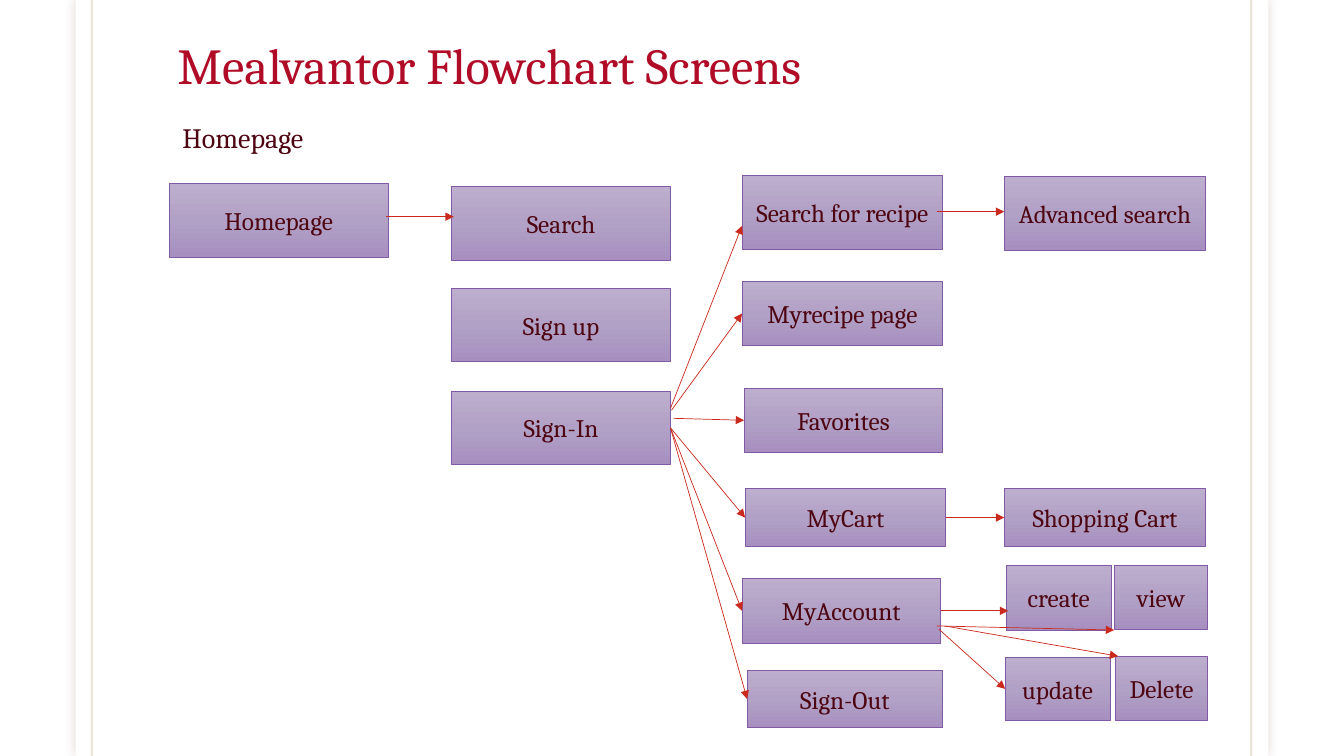
from copy import deepcopy

from lxml import etree
from pptx import Presentation
from pptx.dml.color import RGBColor
from pptx.enum.shapes import MSO_CONNECTOR, MSO_SHAPE
from pptx.enum.text import MSO_ANCHOR, MSO_AUTO_SIZE, PP_ALIGN
from pptx.oxml.ns import qn
from pptx.util import Inches, Pt

STRAIGHT = MSO_CONNECTOR.STRAIGHT
RECTANGLE = MSO_SHAPE.RECTANGLE
CENTER, LEFT = PP_ALIGN.CENTER, PP_ALIGN.LEFT
MIDDLE, TOP, BOTTOM = MSO_ANCHOR.MIDDLE, MSO_ANCHOR.TOP, MSO_ANCHOR.BOTTOM
LEFT_SIDE, RIGHT_SIDE = 1, 3

WIDTH, HEIGHT = 13.33, 7.5
FONT = "Cambria"
COLORS = {
    "page": "FFFFFF", "page_shadow": "65150F", "margin_rule": "79540B",
    "title": "B10C27", "text": "4D0511", "border": "8159A4", "arrow": "CA2A1E",
}
BOX_GRADIENT = [(0, "BDAECE"), (0.5, "B2A1C6"), (1, "A790C0")]

TITLE = "Mealvantor Flowchart Screens"
HEADING = "Homepage"

SCREENS = {
    1.68: [("Homepage", 0, 1.82, 2.17, 0.73)],
    4.48: [
        ("Search", 0, 1.85, 2.17, 0.73),
        ("Sign up", 0, 2.86, 2.17, 0.73),
        ("Sign-In", 0, 3.88, 2.17, 0.73),
    ],
    7.36: [
        ("Search for recipe", 0, 1.74, 1.99, 0.73),
        ("Myrecipe page", 0, 2.79, 1.99, 0.64),
        ("Favorites", 0.02, 3.85, 1.97, 0.64),
        ("MyCart", 0.03, 4.85, 1.99, 0.57),
        ("MyAccount", 0, 5.74, 1.97, 0.64),
        ("Sign-Out", 0.05, 6.65, 1.94, 0.57),
    ],
    9.96: [
        ("Advanced search", 0, 1.75, 2, 0.73),
        ("Shopping Cart", 0, 4.85, 2, 0.57),
        ("create", 0.02, 5.61, 1.04, 0.64),
        ("update", 0.01, 6.52, 1.04, 0.63),
    ],
    11.05: [
        ("view", 0, 5.61, 0.93, 0.63),
        ("Delete", 0.01, 6.51, 0.92, 0.64),
    ],
}

ARROWS = [
    ((3.83, 2.15), (4.5, 2.15)),
    ((9.29, 2.1), (9.96, 2.1)),
    ((6.65, 4.05), (7.36, 2.24)),
    ((6.66, 4.07), "Myrecipe page"),
    ((6.68, 4.15), "Favorites"),
    ("Sign-In", "MyCart"),
    ("Sign-In", "MyAccount"),
    ("Sign-In", "Sign-Out"),
    ("MyCart", "Shopping Cart"),
    ("MyAccount", (10, 6.06)),
    ((9.29, 6.21), (11.05, 6.25)),
    ((9.31, 6.24), "update"),
    ((9.37, 6.21), (11.09, 6.51)),
]


def rgb(name):
    return RGBColor.from_string(COLORS[name])


def place(part, left, top, width, height):
    part.left, part.top = Inches(left), Inches(top)
    part.width, part.height = Inches(width), Inches(height)


def write(part, words, size, color, align, anchor):
    frame = part.text_frame
    frame.text = words
    frame.word_wrap = True
    frame.auto_size = MSO_AUTO_SIZE.NONE
    frame.vertical_anchor = anchor
    paragraph = frame.paragraphs[0]
    paragraph.alignment = align
    font = paragraph.runs[0].font
    font.name, font.size, font.color.rgb = FONT, Pt(size), rgb(color)
    return paragraph


def add_line(slide, start, end, color, weight):
    line = slide.shapes.add_connector(STRAIGHT, *(Inches(v) for v in (*start, *end)))
    line.line.color.rgb = rgb(color)
    line.line.width = Pt(weight)
    etree.SubElement(line._element.spPr, qn("a:effectLst"))
    return line


def add_alpha(color_element, percent):
    etree.SubElement(color_element, qn("a:alpha"), val=str(percent * 1000))


def add_page(slide):
    page = slide.shapes.add_shape(RECTANGLE, 0, 0, 0, 0)
    place(page, 0.75, 0, 11.83, HEIGHT)
    page.fill.solid()
    page.fill.fore_color.rgb = rgb("page")
    page.line.fill.background()
    page.shadow.inherit = False
    effects = page._element.spPr.find(qn("a:effectLst"))
    shadow = etree.SubElement(effects, qn("a:outerShdw"), blurRad=str(Pt(7)), dist="0", dir="0")
    add_alpha(etree.SubElement(shadow, qn("a:srgbClr"), val=COLORS["page_shadow"]), 15)
    backdrop = [page]
    for x in (0.91, 12.41):
        rule = add_line(slide, (x, 0), (x, HEIGHT), "margin_rule", 1.5)
        add_alpha(rule._element.spPr.find(".//" + qn("a:srgbClr")), 15)
        backdrop.append(rule)
    for depth, part in enumerate(backdrop, 2):
        slide.shapes._spTree.insert(depth, part._element)


def add_screen(slide, name, left, top, width, height):
    box = slide.shapes.add_shape(RECTANGLE, 0, 0, 0, 0)
    place(box, left, top, width, height)
    box.shadow.inherit = False
    box.fill.gradient()
    box.fill.gradient_angle = 270
    stops = box._element.spPr.find(".//" + qn("a:gsLst"))
    stops.insert(1, deepcopy(stops[0]))
    for stop, (position, color) in zip(box.fill.gradient_stops, BOX_GRADIENT):
        stop.position = position
        stop.color.rgb = RGBColor.from_string(color)
    box.line.color.rgb = rgb("border")
    box.line.width = Pt(0.5)
    write(box, name, 18, "text", CENTER, MIDDLE)
    return box


def add_arrow(slide, boxes, start, end):
    free_start = (0, 0) if start in boxes else start
    free_end = (0, 0) if end in boxes else end
    arrow = add_line(slide, free_start, free_end, "arrow", 0.5)
    if start in boxes:
        arrow.begin_connect(boxes[start], RIGHT_SIDE)
    if end in boxes:
        arrow.end_connect(boxes[end], LEFT_SIDE)
    etree.SubElement(arrow.line._get_or_add_ln(), qn("a:tailEnd"), type="triangle")


def main():
    deck = Presentation()
    deck.slide_width, deck.slide_height = Inches(WIDTH), Inches(HEIGHT)
    slide = deck.slides.add_slide(deck.slide_layouts[1])
    add_page(slide)

    title, body = slide.shapes.title, slide.placeholders[1]
    place(title, 1.66, 0.35, 10, 0.64)
    write(title, TITLE, 36, "title", LEFT, BOTTOM).line_spacing = 0.85
    place(body, 1.66, 1.18, 10.58, 6.13)
    heading = write(body, HEADING, 20, "text", LEFT, TOP)
    heading.line_spacing = 0.9
    heading.space_before = Pt(18)
    properties = heading._p.get_or_add_pPr()
    properties.set("marL", str(Inches(0.05)))
    properties.set("indent", "0")
    etree.SubElement(properties, qn("a:buNone"))

    boxes = {}
    for column, rows in SCREENS.items():
        for name, shift, top, width, height in rows:
            boxes[name] = add_screen(slide, name, column + shift, top, width, height)
    for start, end in ARROWS:
        add_arrow(slide, boxes, start, end)
    deck.save("out.pptx")


if __name__ == "__main__":
    main()
